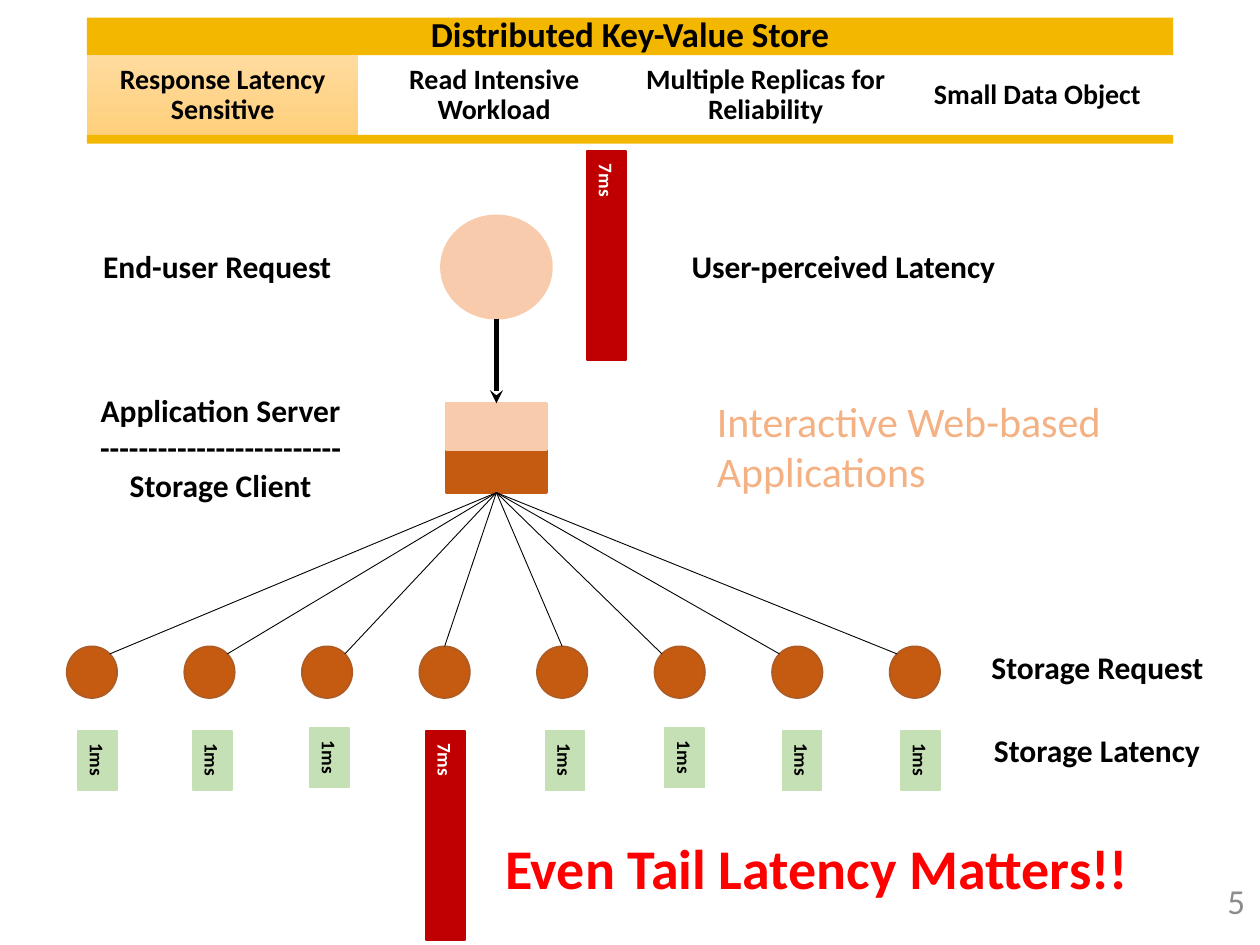
import math

import pptx
import pptx.dml.color
import pptx.enum.shapes
import pptx.enum.text
import pptx.oxml
import pptx.oxml.ns
import pptx.util

KIND = pptx.enum.shapes.MSO_SHAPE
ALIGN = pptx.enum.text.PP_ALIGN
ANCHOR = pptx.enum.text.MSO_ANCHOR
FIT = pptx.enum.text.MSO_AUTO_SIZE

COLS, ROWS = 100, 75
GOLD, PEACH, RUST = "F4B700", "F8CBAD", "C55A11"
RED, GREEN, BLACK, WHITE = "C00000", "C5E0B4", "000000", "FFFFFF"


def paint(text):
    return pptx.dml.color.RGBColor.from_string(text)


def node(tag):
    return pptx.oxml.parse_xml(f"<a:{tag} {pptx.oxml.ns.nsdecls('a')}/>")


class Board:
    """Draws on one slide; lengths are columns and rows of a 100 by 75 grid."""

    font = {"name": "Calibri", "bold": True}

    def __init__(self, deck):
        self.deck = deck
        self.slide = deck.slides.add_slide(deck.slide_layouts[5])
        self.shapes = self.slide.shapes

    def x(self, col):
        return round(self.deck.slide_width * col / COLS)

    def y(self, row):
        return round(self.deck.slide_height * row / ROWS)

    def area(self, left, top, width, height):
        return self.x(left), self.y(top), self.x(width), self.y(height)

    def fill_text(self, frame, text, size, color=BLACK, align=ALIGN.LEFT, space=1.0, **more):
        frame.text = text
        look = {**self.font, "size": pptx.util.Pt(size), **more}
        for para in frame.paragraphs:
            para.alignment, para.line_spacing = align, space
            for run in para.runs:
                for name, value in look.items():
                    setattr(run.font, name, value)
                run.font.color.rgb = paint(color)

    def pad(self, frame, inset):
        for side in ("left", "top", "right", "bottom"):
            setattr(frame, "margin_" + side, self.x(inset))

    def title(self, text, at, fill):
        head = self.shapes.title
        head.left, head.top, head.width, head.height = self.area(*at)
        head.fill.solid()
        head.fill.fore_color.rgb = paint(fill)
        frame = head.text_frame
        frame.auto_size, frame.vertical_anchor = FIT.NONE, ANCHOR.MIDDLE
        self.pad(frame, 0.8)
        self.fill_text(frame, text, 20, align=ALIGN.CENTER, space=0.9)

    def shape(self, kind, at, fill, line=None, weight=1):
        item = self.shapes.add_shape(kind, *self.area(*at))
        item.shadow.inherit = False
        item.fill.solid()
        item.fill.fore_color.rgb = paint(fill)
        if line:
            item.line.color.rgb = paint(line)
            item.line.width = pptx.util.Pt(weight)
        else:
            item.line.fill.background()
        return item

    def cell(self, text, at, shades=None):
        item = self.shape(KIND.RECTANGLE, at, WHITE)
        if shades:
            item.fill.gradient()
            item.fill.gradient_angle = 270
            for i, stop in enumerate(item.fill.gradient_stops):
                stop.color.rgb = paint(shades[i])
                stop.position = i
        frame = item.text_frame
        frame.vertical_anchor = ANCHOR.MIDDLE
        self.pad(frame, 0.7)
        self.fill_text(frame, text, 16, align=ALIGN.CENTER, space=0.9)

    def bar(self, left, top, slow=False):
        """Latency bar with its time running downwards."""
        fill, high, text, ink = (RED, 16.6, "7ms", WHITE) if slow else (GREEN, 4.7, "1ms", BLACK)
        item = self.shape(KIND.RECTANGLE, (left, top, 3.1, high), fill, fill)
        frame = item.text_frame
        frame.vertical_anchor = ANCHOR.MIDDLE
        self.fill_text(frame, text, 11, ink, ALIGN.CENTER)
        item.element.xpath(".//a:bodyPr")[0].set("vert", "eaVert")

    def label(self, text, at, size=18, wrap=False, anchor=ANCHOR.TOP, **look):
        frame = self.shapes.add_textbox(*self.area(*at)).text_frame
        frame.word_wrap, frame.vertical_anchor = wrap, anchor
        frame.auto_size = FIT.SHAPE_TO_FIT_TEXT
        self.fill_text(frame, text, size, **look)

    def link(self, start, end, weight, source=None, target=None, head=None):
        """Straight line, joined to source at its bottom and target at its top."""
        item = self.shapes.add_connector(
            pptx.enum.shapes.MSO_CONNECTOR.STRAIGHT,
            self.x(start[0]), self.y(start[1]), self.x(end[0]), self.y(end[1]))
        if source:
            item.begin_connect(source, 2)
        if target:
            item.end_connect(target, 0)
        item.line.color.rgb = paint(BLACK)
        item.line.width = pptx.util.Pt(weight)
        if head:
            tip = node("tailEnd")
            tip.set("type", head)
            item.element.xpath(".//a:ln")[0].append(tip)
        item.element.spPr.append(node("effectLst"))


def header(board):
    left, wide = 6.9, 86.2
    board.title("Distributed Key-Value Store", (left, 1.4, wide, 3), GOLD)
    traits = ("Response Latency Sensitive", "Read Intensive Workload",
              "Multiple Replicas for Reliability", "Small Data Object")
    step = wide / len(traits)
    for i, trait in enumerate(traits):
        shades = None if i else ("FFDB9E", "FFD07C")
        board.cell(trait, (left + i * step, 4.4, step, 6.3), shades)
    board.shape(KIND.RECTANGLE, (left, 10.7, wide, 0.7), GOLD)


def servers(board):
    client = board.shape(KIND.RECTANGLE, (35.4, 35.4, 8, 3.7), RUST, RUST, 1.5)
    server = board.shape(KIND.RECTANGLE, (35.4, 32, 8, 3.7), PEACH, PEACH, 1.5)
    board.shape(KIND.OVAL, (35, 17.1, 8.8, 8.2), PEACH, PEACH)
    board.link((39.4, 25.3), (39.4, 32), 2.5, target=server, head="stealth")
    return client


def stores(board, client):
    """Eight storage nodes, each with a line from the client and a bar."""
    wide, high, top, step = 4, 4.1, 51.3, 9.33
    bars = (6.2, 15.3, 24.6, 33.8, 43.3, 52.8, 62.1, 71.5)
    turn = math.sqrt(0.5)
    for i, left in enumerate(bars):
        spot = 5.3 + i * step
        disk = board.shape(KIND.OVAL, (spot, top, wide, high), RUST, "AF5C24")
        near = i in (3, 4)
        side = turn if i < 3 else -turn
        end = (spot + wide / 2 * (1 + side), top + high / 2 * (1 - turn))
        board.link((39.4, 39.1), end, 0.5, client, disk if near else None)
        board.bar(left, 57.8 if i in (2, 5) else 58, slow=i == 3)


def labels(board):
    board.label("Application Server\n" + "-" * 25 + "\nStorage Client",
                (6.9, 30.5, 21.2, 10.1), align=ALIGN.CENTER)
    for text, at in (
        ("End-user Request", (7.2, 19.1, 20.3, 4)),
        ("User-perceived Latency", (53.9, 19.1, 26.3, 4)),
        ("Storage Request", (77.7, 50.9, 19, 4)),
        ("Storage Latency", (77.9, 57.5, 18.5, 4)),
    ):
        board.label(text, at)
    board.label("Even Tail Latency Matters!!", (39.1, 65.7, 52.1, 6.4), 32, True,
                color="FF0000")
    board.label("Interactive Web-based Applications", (55.9, 30.9, 33.2, 9.1), 24, True,
                color="F4B183", bold=False)
    board.label("5", (77.3, 69.5, 22.5, 4), 20, True, ANCHOR.MIDDLE,
                color="8C8C8C", align=ALIGN.RIGHT, bold=False)


def main():
    deck = pptx.Presentation()
    deck.slide_width, deck.slide_height = pptx.util.Inches(10), pptx.util.Inches(7.5)
    board = Board(deck)
    header(board)
    stores(board, servers(board))
    board.bar(46.6, 12, slow=True)
    labels(board)
    deck.save("out.pptx")


if __name__ == "__main__":
    main()
